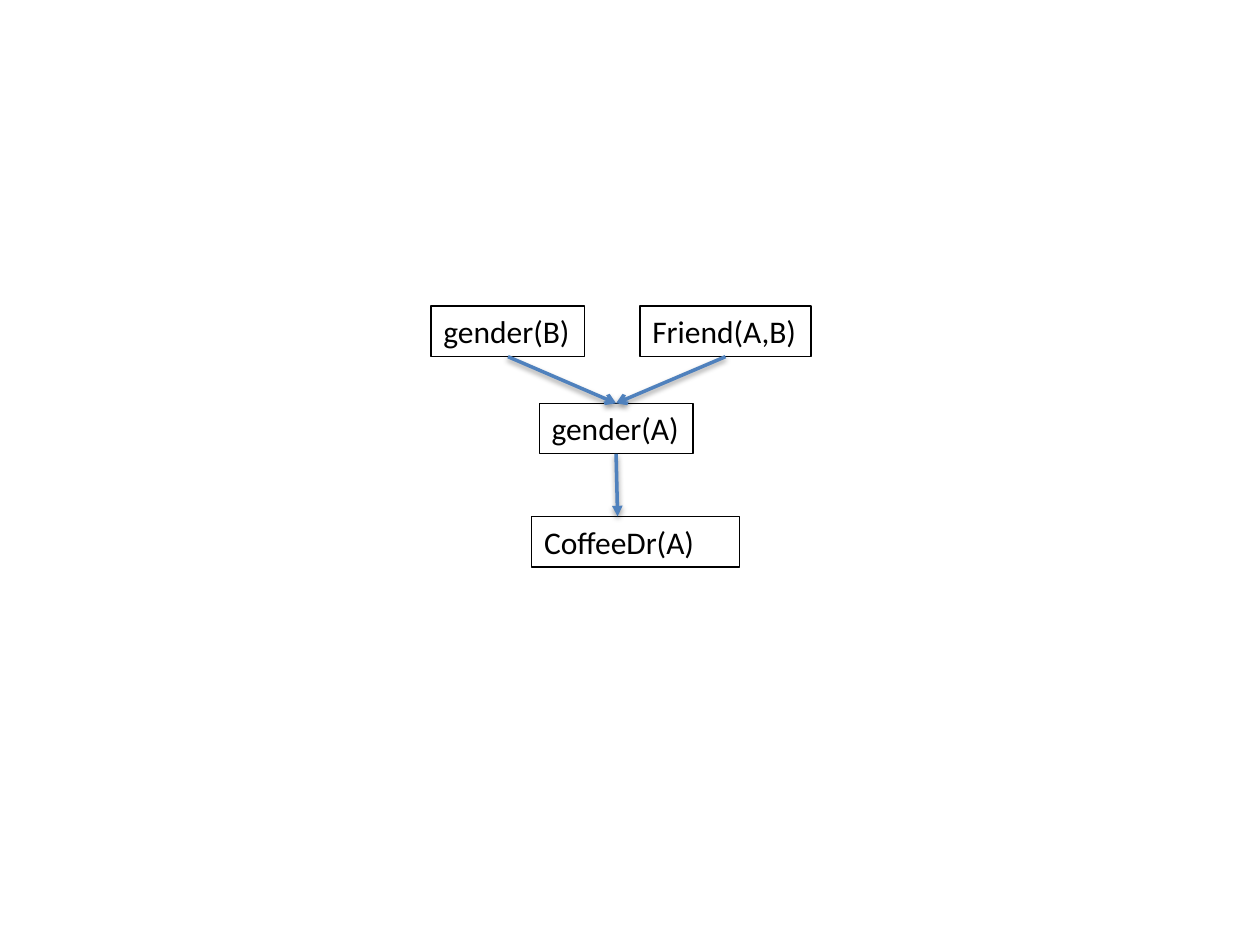
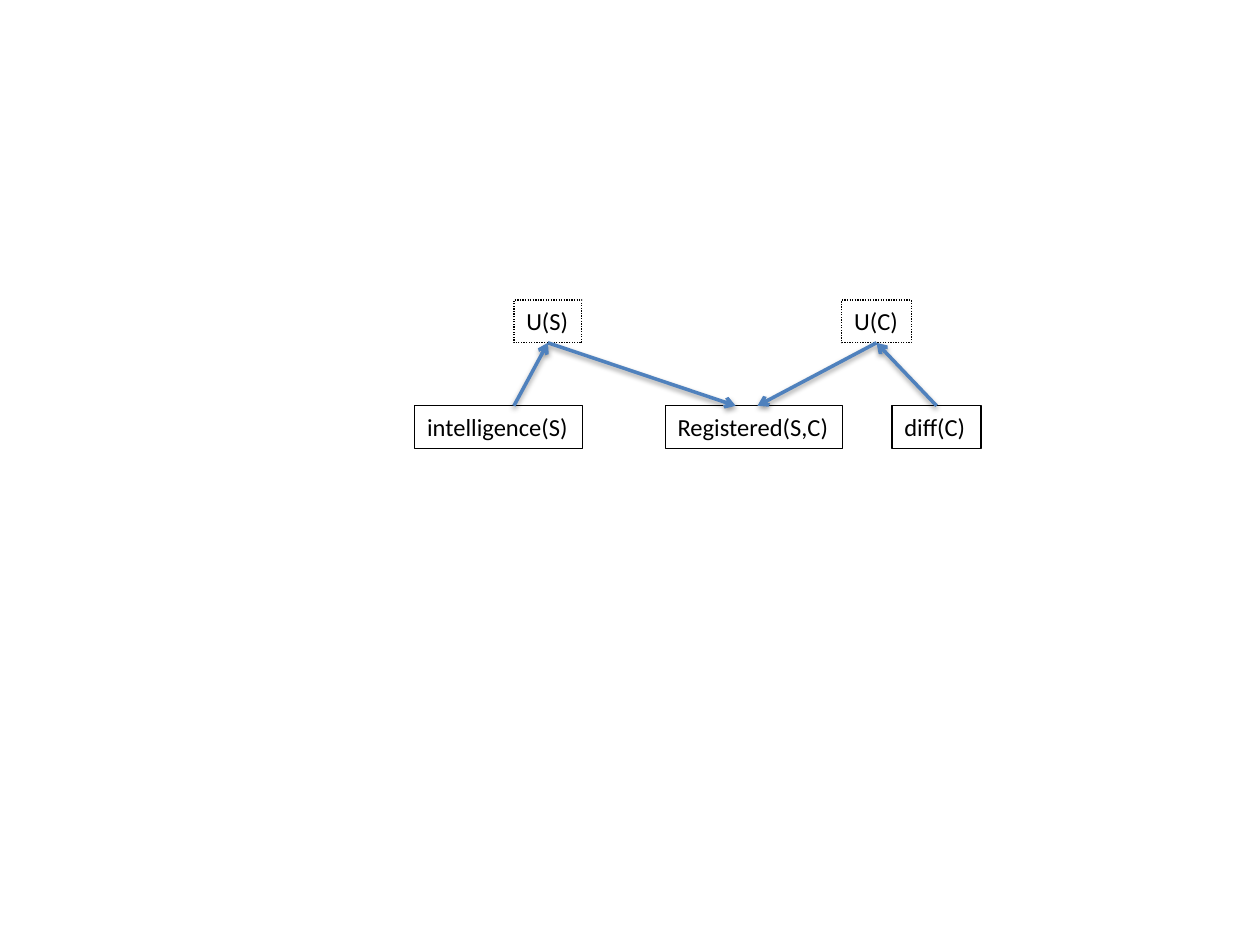
from lxml.etree import SubElement
from pptx import Presentation
from pptx.dml.color import RGBColor
from pptx.enum.dml import MSO_LINE
from pptx.enum.shapes import MSO_CONNECTOR
from pptx.enum.text import MSO_AUTO_SIZE
from pptx.oxml.ns import qn
from pptx.util import Cm, Pt

FONT = "Calibri"
INK = "000000"
ARROW = "4F81BD"
TOP, BOTTOM = 0, 2


def colour(value):
    return RGBColor.from_string(value)


def write(frame, text, size, wrap):
    frame.word_wrap = wrap
    frame.auto_size = MSO_AUTO_SIZE.NONE
    span = frame.paragraphs[0].add_run()
    span.text = text
    span.font.name = FONT
    span.font.size = Pt(size)
    span.font.color.rgb = colour(INK)


def add_node(page, text, left, top, width, height, size, dash=None, wrap=False):
    box = page.shapes.add_textbox(Cm(left), Cm(top), Cm(width), Cm(height))
    box.line.color.rgb = colour(INK)
    box.line.width = Pt(0.75)
    if dash:
        box.line.dash_style = dash
    write(box.text_frame, text, size, wrap)
    return box


def add_shadow(arrow):
    effects = SubElement(arrow.element.spPr, qn("a:effectLst"))
    shadow = SubElement(effects, qn("a:outerShdw"), blurRad=str(Pt(3.1)),
                        dist=str(Pt(1.6)), dir="5400000", rotWithShape="0")
    shade = SubElement(shadow, qn("a:srgbClr"), val=INK)
    SubElement(shade, qn("a:alpha"), val="38000")


def add_arrow(page, start, end, tip="arrow"):
    arrow = page.shapes.add_connector(MSO_CONNECTOR.STRAIGHT, 0, 0, 0, 0)
    if isinstance(start[0], float):
        arrow.begin_x, arrow.begin_y = map(Cm, start)
    else:
        arrow.begin_connect(*start)
    if isinstance(end[0], float):
        arrow.end_x, arrow.end_y = map(Cm, end)
    else:
        arrow.end_connect(*end)
    arrow.line.color.rgb = colour(ARROW)
    arrow.line.width = Pt(2)
    SubElement(arrow.line._get_or_add_ln(), qn("a:tailEnd"), type=tip)
    add_shadow(arrow)


def build_friend_network(page):
    style = {"height": 1.02, "size": 18}
    parents_top, coffee_top = 6.17, 10.41
    coffee_entry = (12.45, coffee_top)
    add_node(page, "CoffeeDr(A)", 10.72, coffee_top, 4.19, wrap=True, **style)
    friend = add_node(page, "Friend(A,B)", 12.9, parents_top, 3.45, **style)
    gender_a = add_node(page, "gender(A)", 10.87, 8.13, 3.1, **style)
    gender_b = add_node(page, "gender(B)", 8.69, parents_top, 3.1, **style)
    for parent in (friend, gender_b):
        add_arrow(page, (parent, BOTTOM), (gender_a, TOP))
    add_arrow(page, (gender_a, BOTTOM), coffee_entry, tip="triangle")


def build_registration_network(page):
    style = {"height": 0.86, "size": 14}
    latent = {"dash": MSO_LINE.ROUND_DOT, **style}
    latent_top, observed_top = 6.05, 8.18
    add_node(page, "intelligence(S)", 8.36, observed_top, 3.38, **style)
    difficulty = add_node(page, "diff(C)", 17.98, observed_top, 1.8, **style)
    add_node(page, "Registered(S,C)", 13.41, observed_top, 3.58, **style)
    student = add_node(page, "U(S)", 10.36, latent_top, 1.37, **latent)
    course = add_node(page, "U(C)", 16.97, latent_top, 1.4, **latent)
    for cluster, entry in ((student, 14.83), (course, 15.27)):
        add_arrow(page, (cluster, BOTTOM), (entry, observed_top))
    add_arrow(page, (10.36, observed_top), (student, BOTTOM))
    add_arrow(page, (difficulty, TOP), (course, BOTTOM))


def main():
    deck = Presentation()
    deck.slide_width, deck.slide_height = Cm(25.4), Cm(19.05)
    for build in (build_friend_network, build_registration_network):
        build(deck.slides.add_slide(deck.slide_layouts[6]))
    deck.save("out.pptx")


if __name__ == "__main__":
    main()
